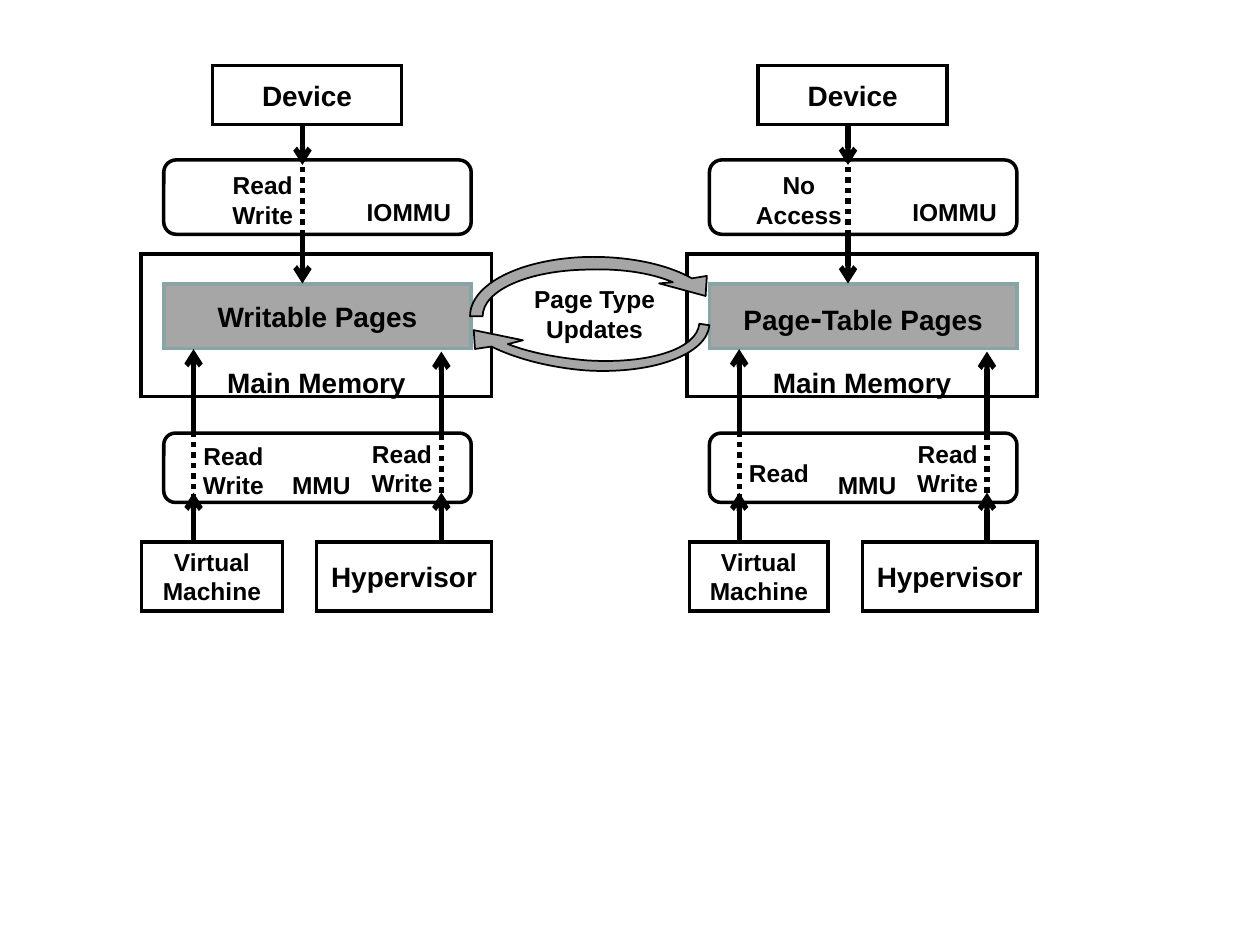
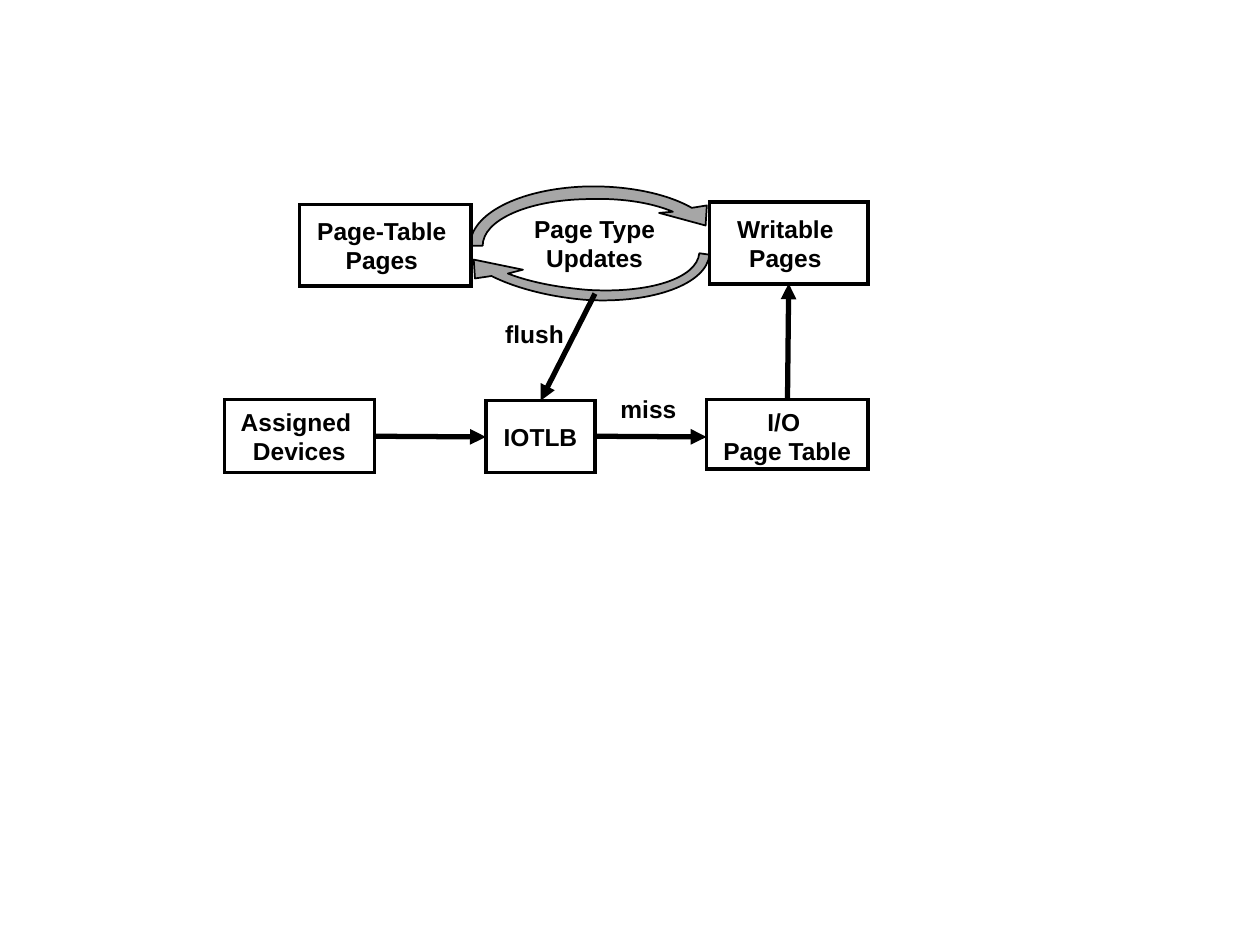
from math import cos, radians, sin

from lxml import etree
from pptx import Presentation
from pptx.dml.color import RGBColor
from pptx.enum.dml import MSO_LINE
from pptx.enum.shapes import MSO_CONNECTOR, MSO_SHAPE
from pptx.enum.text import MSO_ANCHOR, PP_ALIGN
from pptx.oxml.ns import qn
from pptx.util import Pt

BLACK = RGBColor(0x00, 0x00, 0x00)
GREY = RGBColor(0xA6, 0xA6, 0xA6)
BAND_EDGE = RGBColor(0x89, 0xA4, 0xA7)
FONT = "Arial"
INSETS = (7.2, 3.6, 7.2, 3.6)
RECT, ROUNDED = MSO_SHAPE.RECTANGLE, MSO_SHAPE.ROUNDED_RECTANGLE
STRAIGHT, DOTTED = MSO_CONNECTOR.STRAIGHT, MSO_LINE.ROUND_DOT
TOP, MIDDLE, BOTTOM = MSO_ANCHOR.TOP, MSO_ANCHOR.MIDDLE, MSO_ANCHOR.BOTTOM
CENTER, RIGHT = PP_ALIGN.CENTER, PP_ALIGN.RIGHT


def add_text(slide, text, box, kind=None, size=14, fill=None, edge=BLACK,
             anchor=MIDDLE, align=CENTER, insets=INSETS, large="\t"):
    """Add text in a shape of the given kind, or unframed; the part equal to large is 20 pt."""
    place = [Pt(length) for length in box]
    if kind is None:
        shape = slide.shapes.add_textbox(*place)
    else:
        shape = slide.shapes.add_shape(kind, *place)
        shape.shadow.inherit = False
        shape.line.color.rgb = edge
        shape.line.width = Pt(2)
        etree.SubElement(shape.element.spPr.find(qn("a:ln")), qn("a:miter"), lim="800000")
        if fill is None:
            shape.fill.background()
        else:
            shape.fill.solid()
            shape.fill.fore_color.rgb = fill
    frame = shape.text_frame
    frame.word_wrap = True
    frame.vertical_anchor = anchor
    (frame.margin_left, frame.margin_top,
     frame.margin_right, frame.margin_bottom) = [Pt(inset) for inset in insets]
    for i, line in enumerate(text.split("\n")):
        paragraph = frame.add_paragraph() if i else frame.paragraphs[0]
        paragraph.alignment = align
        for part in filter(None, line.partition(large)):
            run = paragraph.add_run()
            run.text = part
            run.font.name = FONT
            run.font.size = Pt(20 if part == large else size)
            run.font.bold = True
            run.font.color.rgb = BLACK


def add_line(slide, x1, y1, x2, y2, head=None, dash=None):
    line = slide.shapes.add_connector(STRAIGHT, Pt(x1), Pt(y1), Pt(x2), Pt(y2))
    line.line.color.rgb = BLACK
    line.line.width = Pt(3)
    if dash is not None:
        line.line.dash_style = dash
    properties = line.element.spPr
    if head:
        etree.SubElement(properties.find(qn("a:ln")), qn("a:tailEnd"), type=head)
    etree.SubElement(properties, qn("a:effectLst"))


prs = Presentation()
prs.slide_width, prs.slide_height = Pt(720), Pt(540)
blank = prs.slide_layouts[6]
access_slide = prs.slides.add_slide(blank)
flush_slide = prs.slides.add_slide(blank)

# Slide 1: one panel for each page type
PANEL_PITCH = 311.8
VM_X, DEVICE_X, HYPERVISOR_X = 110.6, 172.8, 252.2
access_arrows = [
    (VM_X, 247.7, 199.5), (DEVICE_X, 133.9, 162), (DEVICE_X, 71.3, 94.3),
    (HYPERVISOR_X, 247.7, 200.9), (VM_X, 309.6, 281.5), (HYPERVISOR_X, 309.6, 281.5),
]
checked_stretches = [(VM_X, 240.5, 287.3), (HYPERVISOR_X, 248.4, 287.3), (DEVICE_X, 89.3, 136.1)]
# page type, device access, its width, VM access, its top, VM box left and width
panels = [
    ("Writable Pages", "Read\nWrite", 56.9, "Read\nWrite", 248.8, 80.8, 80.6),
    ("Page-Table Pages", "No\nAccess", 67.7, "Read", 250.5, 82.3, 79.2),
]
for i, (pages, device_access, access_width, vm_access, vm_access_top,
        vm_left, vm_width) in enumerate(panels):
    dx = i * PANEL_PITCH
    add_text(access_slide, pages, (93.6 + dx, 162.4, 175.7, 36.7), RECT, size=16,
             fill=GREY, edge=BAND_EDGE, large="-")
    add_text(access_slide, "Virtual\nMachine", (vm_left + dx, 309.6, vm_width, 39.6), RECT)
    add_text(access_slide, "MMU", (93.6 + dx, 247.5, 175.7, 39.6), ROUNDED,
             anchor=BOTTOM, insets=(11.6, 3.6, 7.2, 0))
    add_text(access_slide, "Hypervisor", (181 + dx, 309.6, 99.8, 39.6), RECT, size=16)
    add_text(access_slide, "Main Memory", (80.7 + dx, 145.2, 200.2, 81.4), RECT, size=16,
             anchor=TOP, insets=(7.2, 63.9, 7.2, 0))
    add_text(access_slide, "Device", (121.5 + dx, 37.4, 108, 33.8), RECT, size=16)
    add_text(access_slide, "IOMMU", (93.6 + dx, 91.4, 175.7, 42.5), ROUNDED,
             anchor=BOTTOM, align=RIGHT, insets=(7.2, 3.6, 9.3, 2.4))
    for x, start, end in access_arrows:
        add_line(access_slide, x + dx, start, x + dx, end, head="arrow")
    for x, start, end in checked_stretches:
        add_line(access_slide, x + dx, start, x + dx, end, dash=DOTTED)
    add_text(access_slide, vm_access, (104.9 + dx, vm_access_top, 56.9, 39.6))
    add_text(access_slide, "Read\nWrite", (201.3 + dx, 248.6, 56.9, 38.2))
    add_text(access_slide, device_access,
             (178.6 - access_width + dx, 94.3, access_width, 39.6))

# Both slides: the cycle of page type updates, each arrow as frame, rotation and segments.
# A segment of one point is a line, one of three points a Bézier curve.
update_arrows = [
    ((257.8, 136.1, 164.2, 88.6), 0, [
        [(268.6, 180.7)],
        [(268.6, 162.7), (296.6, 148.3), (334.1, 146.9)],
        [(357.1, 146.2), (380.2, 150.5), (395.3, 159.1)],
        [(403.9, 157.7)], [(403.2, 169.2)], [(376.6, 162)], [(384.5, 161.3)],
        [(370.8, 155.5), (352.8, 153.4), (334.8, 154.1)],
        [(301, 154.8), (275.8, 166.3), (275.8, 180.7)],
        [(268.6, 180.7)]]),
    ((244.8, 133.9, 172.1, 88.6), 186.1, [
        [(405.4, 185.8)],
        [(403.9, 202.3), (373.7, 213.8), (335.5, 211.7)],
        [(315.4, 210.2), (295.2, 205.2), (280.8, 198)],
        [(271.4, 199.4)], [(270.7, 188.6)], [(298.8, 194.4)], [(290.2, 196.6)],
        [(303.1, 201.6), (319, 204.5), (335.5, 205.9)],
        [(370.8, 208.1), (398.2, 199.4), (399.6, 185)],
        [(405.4, 185.8)]]),
]
for slide, dy in ((access_slide, 0), (flush_slide, -40.3)):
    add_text(slide, "Page Type Updates", (285.8, 162.3 + dy, 108, 33.8))
    for (left, top, width, height), rotation, segments in update_arrows:
        builder = slide.shapes.build_freeform(Pt(left), Pt(top + dy))
        builder.add_line_segments([(Pt(left + width), Pt(top + dy)),
                                   (Pt(left + width), Pt(top + height + dy))])
        update_arrow = builder.convert_to_shape()
        outline = next(update_arrow.element.iter(qn("a:path")))
        for command in list(outline):
            outline.remove(command)
        turn = radians(-rotation)
        for i, segment in enumerate(segments):
            tag = "a:cubicBezTo" if len(segment) == 3 else "a:lnTo" if i else "a:moveTo"
            command = etree.SubElement(outline, qn(tag))
            for x, y in segment:
                # Undo the rotation, so that the turned frame puts the point at x, y
                from_x, from_y = x - left - width / 2, y - top - height / 2
                local_x = width / 2 + from_x * cos(turn) - from_y * sin(turn)
                local_y = height / 2 + from_x * sin(turn) + from_y * cos(turn)
                etree.SubElement(command, qn("a:pt"), x=str(Pt(local_x)), y=str(Pt(local_y)))
        etree.SubElement(outline, qn("a:close"))
        update_arrow.rotation = rotation
        update_arrow.shadow.inherit = False
        update_arrow.fill.solid()
        update_arrow.fill.fore_color.rgb = GREY
        update_arrow.line.color.rgb = BLACK
        update_arrow.line.width = Pt(1)

# Slide 2: flushing the IOTLB
stages = [
    ("Assigned \nDevices", (128.2, 228.2, 85.7, 41.8), INSETS),
    ("Writable \nPages ", (405.4, 115.4, 90.7, 46.8), INSETS),
    ("Page-Table \nPages ", (171.2, 116.8, 97.9, 46.8), INSETS),
    ("I/O \nPage Table", (403.7, 228.2, 92.2, 39.8), (7.2, 5.9, 7.2, 3.6)),
    ("IOTLB", (277.6, 229, 62.6, 41), INSETS),
]
for stage, box, insets in stages:
    add_text(flush_slide, stage, box, RECT, insets=insets)
add_text(flush_slide, "miss", (328.8, 211, 83.5, 45.4))
steps = [
    (213.8, 249.3, 277.6, 249.7),
    (340, 249.3, 403.7, 249.7),
    (450, 228.2, 450.7, 162),
    (340, 167.8, 308.9, 229),
]
for step in steps:
    add_line(flush_slide, *step, head="triangle")
add_text(flush_slide, "flush", (263.7, 168.3, 83.5, 44.6))

prs.save("out.pptx")
